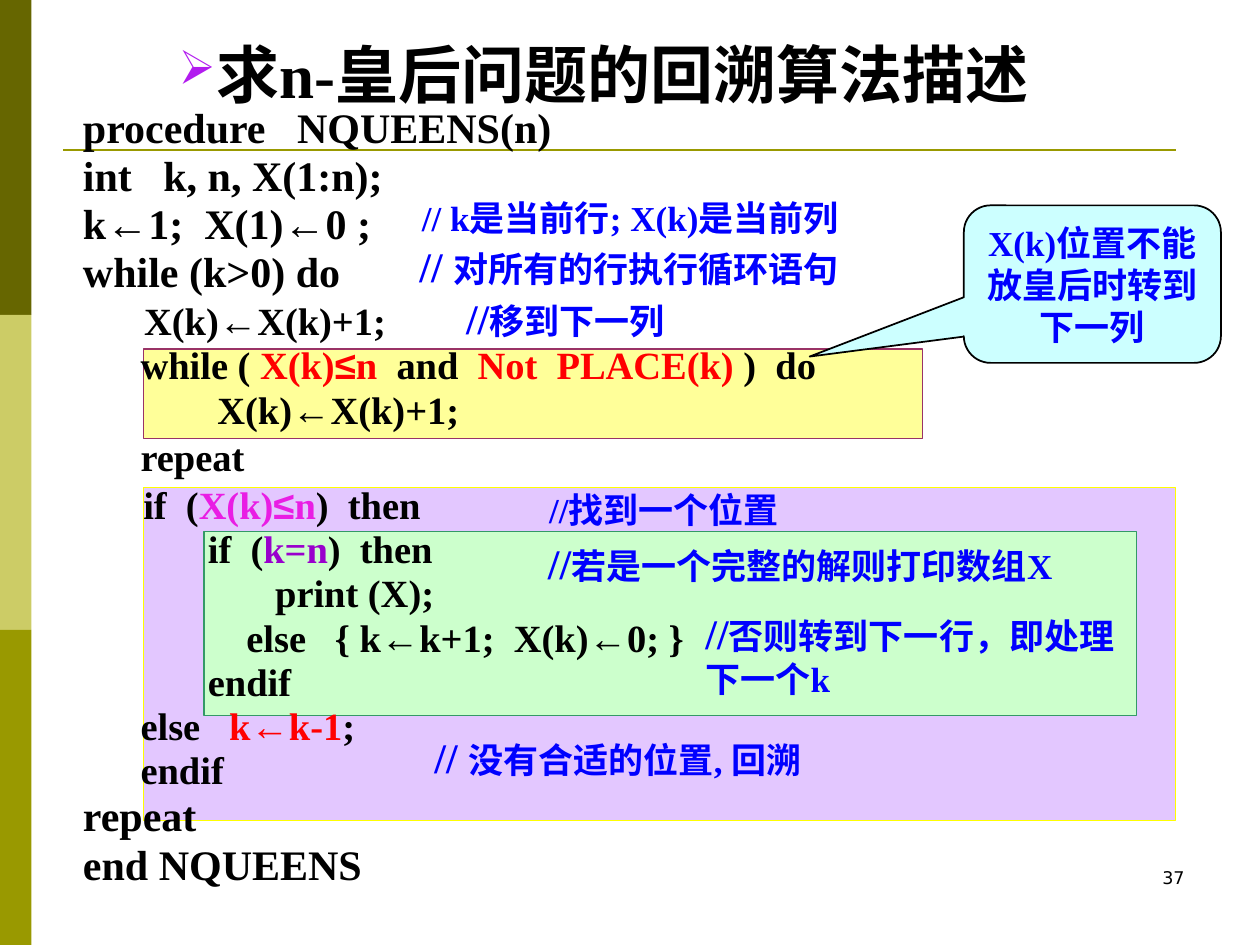
from itertools import groupby

from lxml.etree import SubElement
from pptx import Presentation
from pptx.dml.color import RGBColor
from pptx.enum.shapes import MSO_CONNECTOR, MSO_SHAPE
from pptx.enum.text import MSO_ANCHOR, MSO_AUTO_SIZE, PP_ALIGN
from pptx.oxml.ns import qn
from pptx.util import Inches, Pt

BLACK, BLUE, RED = "000000", "0000FF", "FF0000"
PINK, PURPLE = "E91DE4", "9900CC"
MAIN, SIGN = "Times New Roman", "Arial"


def rgb(code):
    return RGBColor.from_string(code)


class Deck:
    def __init__(self, wide, high):
        self.prs = Presentation()
        self.prs.slide_width, self.prs.slide_height = Inches(wide), Inches(high)
        self.slide = self.prs.slides.add_slide(self.prs.slide_layouts[6])

    def shape(self, kind, box, fill, line=None, width=0.75, alpha=None):
        item = self.slide.shapes.add_shape(kind, *map(Inches, box))
        item.shadow.inherit = False
        item.fill.solid()
        item.fill.fore_color.rgb = rgb(fill)
        if alpha:
            tint = item.fill._xPr.find(qn("a:solidFill"))[0]
            SubElement(tint, qn("a:alpha"), val=str(alpha * 1000))
        if line:
            item.line.color.rgb = rgb(line)
            item.line.width = Pt(width)
        else:
            item.line.fill.background()
        return item

    def rect(self, box, fill, **style):
        return self.shape(MSO_SHAPE.RECTANGLE, box, fill, **style)

    def rule(self, x1, y1, x2, y2, color, width):
        line = self.slide.shapes.add_connector(
            MSO_CONNECTOR.STRAIGHT, *map(Inches, (x1, y1, x2, y2)))
        line.line.color.rgb = rgb(color)
        line.line.width = Pt(width)
        SubElement(line._element.spPr, qn("a:effectLst"))

    def frame(self, box, grow=True):
        frame = self.slide.shapes.add_textbox(*map(Inches, box)).text_frame
        frame.word_wrap = True
        if grow:
            frame.auto_size = MSO_AUTO_SIZE.SHAPE_TO_FIT_TEXT
        return frame

    def run(self, para, text, size, color=BLACK, font=MAIN, bold=True):
        """Add text, giving arrows and comparison signs their own font."""
        for sign, part in groupby(text, lambda c: c in "←≤"):
            run = para.add_run()
            run.text = "".join(part)
            run.font.name = SIGN if sign else font
            run.font.size = Pt(size)
            run.font.bold = bold
            run.font.color.rgb = rgb(color)

    def bullet(self, para, char, color, scale):
        props = para._p.get_or_add_pPr()
        props.set("marL", "0")
        props.set("indent", "0")
        SubElement(SubElement(props, qn("a:buClr")), qn("a:srgbClr"), val=color)
        SubElement(props, qn("a:buSzPct"), val=str(scale * 1000))
        SubElement(props, qn("a:buChar"), char=char)

    def code(self, box, rows):
        frame = self.frame(box)
        for i, (gap, size, *runs) in enumerate(rows):
            para = frame.paragraphs[0] if i == 0 else frame.add_paragraph()
            para.line_spacing = 0.8
            para.space_before = Pt(gap if i else 0)
            for part in runs:
                text, color, big = (part, BLACK, size) if isinstance(part, str) else part
                self.run(para, text, big or size, color)

    def note(self, box, mark, text, size=24):
        para = self.frame(box).paragraphs[0]
        self.run(para, mark, size, BLUE)
        self.run(para, text, 20, BLUE)


def big(*runs):
    return (4.5, 24, *runs)


def small(*runs):
    return (4.1, 22, *runs)


def hue(text, color):
    return (text, color, None)


def lead(text):
    return (text, BLACK, 24)


CODE = [
    big("procedure   NQUEENS(n)"),
    big("int   k, n, X(1:n);"),
    big("k←1;  X(1)←0 ;"),
    big("while (k>0) do"),
    small(lead("    "), "  X(k)←X(k)+1;"),
    small("      while ( ", hue("X(k)≤n  ", RED), "and  ",
          hue("Not  PLACE(k) ", RED), ")  do"),
    small("              X(k)←X(k)+1;"),
    (4.5, 22, "      repeat", lead(" ")),
    small(lead("   "), "   if  (", hue("X(k)≤n", PINK), ")  then"),
    small("             if  (", hue("k=n", PURPLE), ")  then"),
    small("                    print (X);"),
    small("                 else   { k←k+1;  X(k)←0; }"),
    small("             endif"),
    small("      else   ", hue("k←k-1", RED), ";"),
    small("      endif"),
    big("repeat"),
    big("end NQUEENS"),
]

# box, slashes, comment, size of the slashes
NOTES = [
    ((4.25, 4.22, 5.21, 0.5), "//", "若是一个完整的解则打印数组X", 24),
    ((3.25, 1.51, 4.29, 0.5), "// ", "k是当前行; X(k)是当前列", 20),
    ((3.23, 1.86, 4.29, 0.5), "// ", "对所有的行执行循环语句", 24),
    ((3.6, 2.27, 2.21, 0.5), "//", "移到下一列", 24),
    ((4.26, 3.83, 3.1, 0.44), "//", "找到一个位置", 20),
    ((5.5, 4.77, 3.52, 0.84), "//", "否则转到下一行，即处理下一个k", 24),
    ((3.35, 5.76, 3.9, 0.5), "// ", "没有合适的位置, 回溯", 24),
]


def main():
    deck = Deck(10, 7.5)

    # Side band and rule
    for i, color in enumerate(("666600", "CCCC66", "999900")):
        deck.rect((0, 2.5 * i, 0.25, 2.5), color)
    deck.rule(0.5, 1.19, 9.33, 1.19, "999900", 1.5)

    # Page number
    para = deck.frame((7.17, 6.83, 2.33, 0.5), grow=False).paragraphs[0]
    para.alignment = PP_ALIGN.RIGHT
    deck.run(para, "37", 10, font="DejaVu Sans", bold=False)

    # Panels behind the code blocks
    deck.rect((1.14, 3.87, 8.19, 2.64), "CC99FF", line="FFFF00", alpha=54)
    deck.rect((1.62, 4.22, 7.4, 1.46), "CCFFCC", line="339966")
    deck.rect((1.14, 2.77, 6.18, 0.71), "FFFF99", line="993366")

    # Title
    para = deck.frame((1.32, 0.23, 7.59, 0.7)).paragraphs[0]
    deck.bullet(para, "➢", "B21BEF", 75)
    deck.run(para, "求n-皇后问题的回溯算法描述", 36)

    # Code and its comments
    deck.code((0.56, 0.83, 8.15, 6.28), CODE)
    for item in NOTES:
        deck.note(*item)

    # Callout
    call = deck.shape(MSO_SHAPE.ROUNDED_RECTANGULAR_CALLOUT,
                      (7.65, 1.63, 2.04, 1.25), "CCFFFF", BLACK, 1)
    for i, value in enumerate((-1.1, 0.46, 0.17)):
        call.adjustments[i] = value
    frame = call.text_frame
    frame.word_wrap = True
    frame.vertical_anchor = MSO_ANCHOR.MIDDLE
    para = frame.paragraphs[0]
    para.alignment = PP_ALIGN.CENTER
    deck.run(para, "X(k)位置不能放皇后时转到下一列", 20, BLUE)

    deck.prs.save("out.pptx")


if __name__ == "__main__":
    main()
